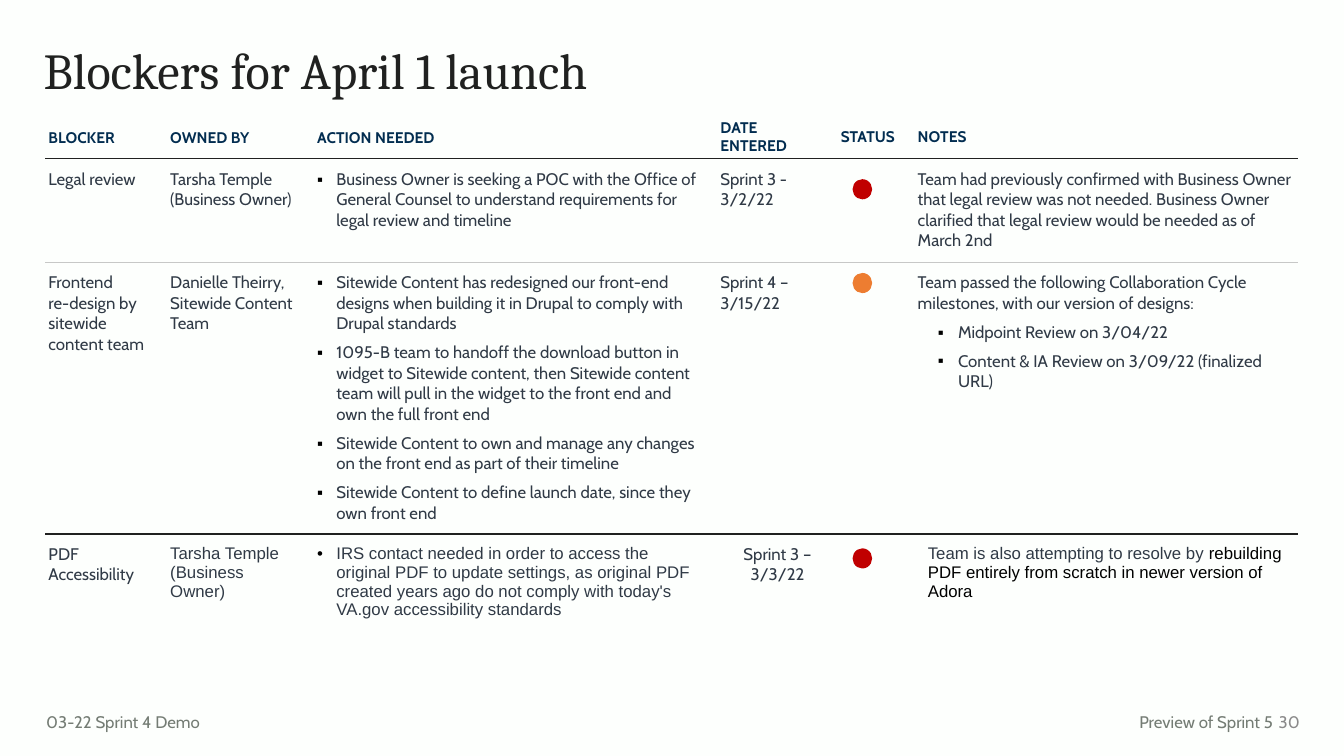
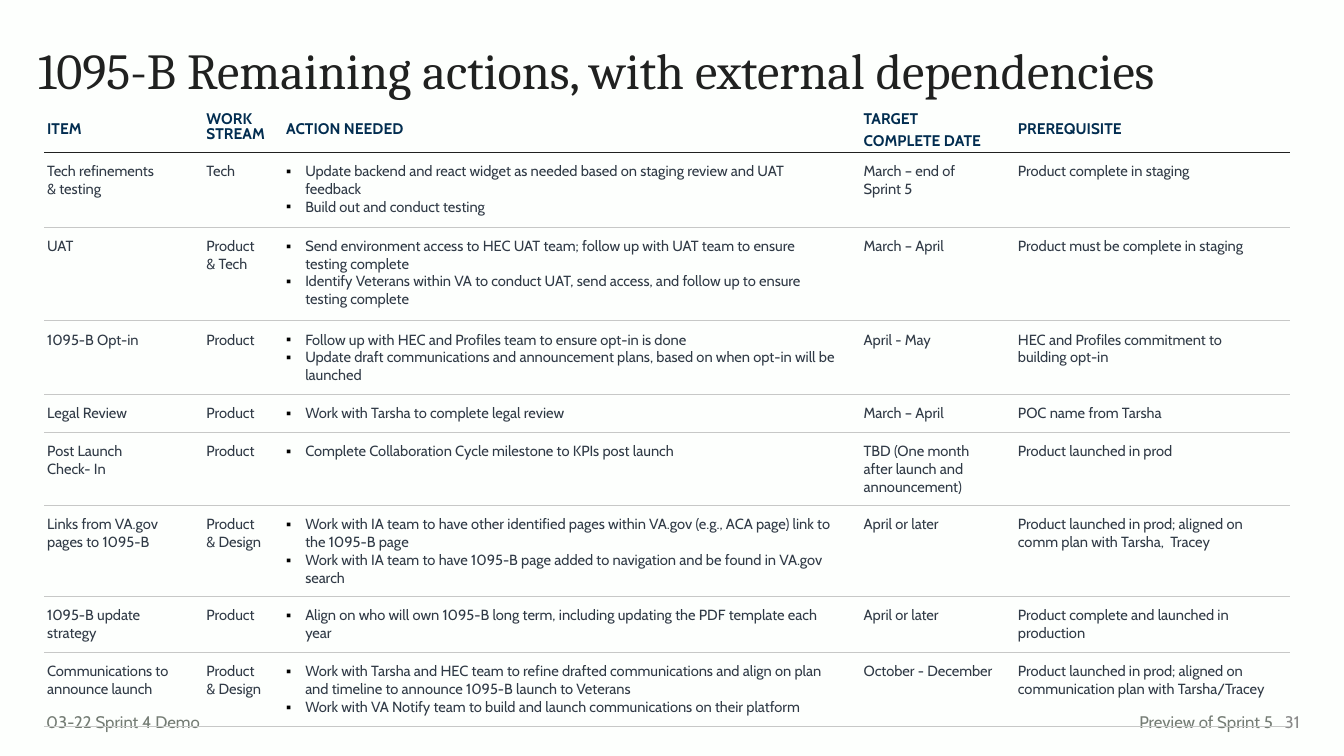
from dataclasses import dataclass

from lxml.etree import SubElement
from pptx import Presentation
from pptx.dml.color import RGBColor
from pptx.enum.shapes import MSO_SHAPE as Shape
from pptx.enum.text import MSO_ANCHOR as Anchor, MSO_AUTO_SIZE as AutoSize, PP_ALIGN as Align
from pptx.oxml.ns import qn
from pptx.util import Pt

COLORS = {
    "paper": "FDFFFD",
    "ink": "202120",
    "heading": "022D50",
    "body": "303A46",
    "rule": "C7C8C7",
    "footer": "747C74",
    "number": "8A8A8A",
    "black": "000000",
    "red": "C00000",
    "orange": "ED7D31",
}
NO_GRID_STYLE = "{2D5ABB26-0587-4C30-8999-92F81FD0307C}"
BULLETS = "▪•"


@dataclass
class Column:
    heading: str
    width: float
    left: float = 2.2
    right: float = 14.4
    spacing: float = 1.15
    indent: float = 13.7
    hang: float = 13.7


BLOCKER_COLUMNS = [
    Column("BLOCKER", 87),
    Column("OWNED BY", 105),
    Column("ACTION NEEDED", 288),
    Column("DATE\nENTERED", 86, right=2.2, spacing=1),
    Column("STATUS", 50, spacing=1),
    Column("NOTES", 279, left=7.2, right=2.2, spacing=1, indent=28.8, hang=14.4),
]
BLOCKERS = [
    ["Legal review", "Tarsha Temple (Business Owner)",
     "▪Business Owner is seeking a POC with the Office of General Counsel to understand "
     "requirements for legal review and timeline",
     "Sprint 3 -\n3/2/22", "",
     "Team had previously confirmed with Business Owner that legal review was not needed. "
     "Business Owner clarified that legal review would be needed as of March 2nd"],
    ["Frontend\nre-design by sitewide content team", "Danielle Theirry, Sitewide Content Team",
     "▪Sitewide Content has redesigned our front-end designs when building it in Drupal "
     "to comply with Drupal standards\n"
     "▪1095-B team to handoff the download button in widget to Sitewide content, then "
     "Sitewide content team will pull in the widget to the front end and own the full front end\n"
     "▪Sitewide Content to own and manage any changes on the front end as part of their timeline\n"
     "▪Sitewide Content to define launch date, since they own front end",
     "Sprint 4 – 3/15/22", "",
     "Team passed the following Collaboration Cycle milestones, with our version of designs:\n"
     "▪Midpoint Review on 3/04/22\n"
     "▪Content & IA Review on 3/09/22 (finalized URL)"],
    ["PDF Accessibility", "Tarsha Temple (Business Owner)",
     "•IRS contact needed in order to access the original PDF to update settings, as original "
     "PDF created years ago do not comply with today's VA.gov accessibility standards",
     "Sprint 3 – 3/3/22", "", "Team is also attempting to resolve by"],
]

ACTION_COLUMNS = [
    Column("ITEM", 113.8),
    Column("WORK STREAM", 56.9, spacing=0.8),
    Column("ACTION NEEDED", 412.6),
    Column("TARGET\nCOMPLETE DATE", 110.2),
    Column("PREREQUISITE", 196.6),
]
ACTIONS = [
    ["Tech refinements\n& testing", "Tech",
     "▪Update backend and react widget as needed based on staging review and UAT feedback\n"
     "▪Build out and conduct testing",
     "March – end of\nSprint 5", "Product complete in staging"],
    ["UAT", "Product & Tech",
     "▪Send environment access to HEC UAT team; follow up with UAT team to ensure testing complete\n"
     "▪Identify Veterans within VA to conduct UAT, send access, and follow up to ensure "
     "testing complete",
     "March – April", "Product must be complete in staging"],
    ["1095-B Opt-in", "Product",
     "▪Follow up with HEC and Profiles team to ensure opt-in is done\n"
     "▪Update draft communications and announcement plans, based on when opt-in will be launched",
     "April - May", "HEC and Profiles commitment to building opt-in"],
    ["Legal Review", "Product", "▪Work with Tarsha to complete legal review",
     "March – April", "POC name from Tarsha"],
    ["Post Launch\nCheck- In", "Product",
     "▪Complete Collaboration Cycle milestone to KPIs post launch",
     "TBD (One month after launch and announcement)", "Product launched in prod"],
    ["Links from VA.gov pages to 1095-B", "Product & Design",
     "▪Work with IA team to have other identified pages within VA.gov (e.g., ACA page) link to "
     "the 1095-B page\n"
     "▪Work with IA team to have 1095-B page added to navigation and be found in VA.gov search",
     "April or later", "Product launched in prod; aligned on comm plan with Tarsha,  Tracey"],
    ["1095-B update strategy", "Product",
     "▪Align on who will own 1095-B long term, including updating the PDF template each year",
     "April or later", "Product complete and launched in production"],
    ["Communications to announce launch", "Product & Design",
     "▪Work with Tarsha and HEC team to refine drafted communications and align on plan and "
     "timeline to announce 1095-B launch to Veterans\n"
     "▪Work with VA Notify team to build and launch communications on their platform",
     "October - December",
     "Product launched in prod; aligned on communication plan with Tarsha/Tracey"],
]


def rgb(name):
    return RGBColor.from_string(COLORS[name])


def format_span(span, size, color, font="Cabin", bold=False):
    span.font.name = font
    span.font.size = Pt(size)
    span.font.bold = bold
    span.font.color.rgb = rgb(color)


def add_bullet(para, mark, column):
    props = para._p.get_or_add_pPr()
    props.set("marL", str(Pt(column.indent)))
    props.set("indent", str(-Pt(column.hang)))
    color = SubElement(props, qn("a:buClr"))
    SubElement(color, qn("a:srgbClr")).set("val", COLORS["black"])
    SubElement(props, qn("a:buFont")).set("typeface", "Arial")
    SubElement(props, qn("a:buChar")).set("char", mark)


def set_bottom_rule(cell, color, width):
    line = SubElement(cell._tc.get_or_add_tcPr(), qn("a:lnB"))
    line.set("w", str(Pt(width)))
    fill = SubElement(line, qn("a:solidFill"))
    SubElement(fill, qn("a:srgbClr")).set("val", COLORS[color])


def fill_cell(cell, text, column, rule, size, gap, header):
    if rule:
        set_bottom_rule(cell, *rule)
    cell.fill.background()
    cell.vertical_anchor = Anchor.MIDDLE if header else Anchor.TOP
    cell.margin_left = Pt(column.left)
    cell.margin_right = Pt(2.2 if header else column.right)
    cell.margin_top = cell.margin_bottom = Pt(2.2 if header else 7.2)
    if not text:
        return
    cell.text_frame.text = text
    has_bullets = any(mark in text for mark in BULLETS)
    for para in cell.text_frame.paragraphs:
        mark = para.text[0]
        if mark in BULLETS:
            para.text = para.text[1:]
            add_bullet(para, mark, column)
        if has_bullets and gap:
            para.space_after = Pt(gap)
        if header:
            para.line_spacing = column.spacing
        for span in para.runs:
            format_span(span, 11 if header else size, "heading" if header else "body", bold=header)


def add_grid(page, left, top, columns, rows, heights, rules, size, gap=0):
    width = sum(column.width for column in columns)
    frame = page.shapes.add_table(len(heights), len(columns), Pt(left), Pt(top),
                                  Pt(width), Pt(sum(heights)))
    table = frame.table
    table.first_row = table.horz_banding = False
    table._tbl.tblPr.find(qn("a:tableStyleId")).text = NO_GRID_STYLE
    for index, column in enumerate(columns):
        table.columns[index].width = Pt(column.width)
    texts = [[column.heading for column in columns]] + rows
    for row, (height, rule) in enumerate(zip(heights, rules)):
        table.rows[row].height = Pt(height)
        for index, column in enumerate(columns):
            fill_cell(table.cell(row, index), texts[row][index], column, rule, size, gap, row == 0)
    return table


def add_label(page, text, left, top, width, height, color="footer", align=Align.RIGHT, inset=7.2):
    box = page.shapes.add_textbox(Pt(left), Pt(top), Pt(width), Pt(height))
    box.text_frame.word_wrap = True
    box.text_frame.vertical_anchor = Anchor.MIDDLE
    box.text_frame.margin_left = Pt(inset)
    box.text_frame.text = text
    para = box.text_frame.paragraphs[0]
    para.alignment = align
    format_span(para.runs[0], 12, color)


def add_page(deck, title, left, number):
    page = deck.slides.add_slide(deck.slide_layouts[5])
    heading = page.shapes.title
    heading.left, heading.top, heading.width, heading.height = Pt(left), Pt(29.5), Pt(930), Pt(48)
    heading.text_frame.text = title
    heading.text_frame.auto_size = AutoSize.NONE
    heading.text_frame.vertical_anchor = Anchor.TOP
    para = heading.text_frame.paragraphs[0]
    para.alignment = Align.LEFT
    para.line_spacing = 0.9
    format_span(para.runs[0], 36, "ink", "Cambria")
    add_label(page, "03-22 Sprint 4 Demo", 33, 504.5, 215, 22, align=Align.LEFT, inset=0)
    add_label(page, "Preview of Sprint 5", 798.5, 504.5, 118, 22)
    add_label(page, number, 904, 501, 31.5, 29, "number")
    return page


def add_status_dot(page, top, color):
    dot = page.shapes.add_shape(Shape.OVAL, Pt(609), Pt(top), Pt(14), Pt(14.4))
    dot.shadow.inherit = False
    dot.fill.solid()
    dot.fill.fore_color.rgb = rgb(color)
    dot.line.fill.background()


def finish_pdf_row(table):
    owner, action, date, notes = (table.cell(3, index) for index in (1, 2, 3, 5))
    date.text_frame.paragraphs[0].alignment = Align.CENTER
    para = notes.text_frame.paragraphs[0]
    para._p.get_or_add_pPr().set("marL", str(Pt(7.2)))
    span = para.add_run()
    span.text = " rebuilding PDF entirely from scratch in newer version of Adora"
    format_span(span, 12, "black")
    for cell in (owner, action, notes):
        for span in cell.text_frame.paragraphs[0].runs:
            span.font.name = "Arial"


def build_blockers(deck):
    page = add_page(deck, "Blockers for April 1 launch", 24, "30")
    table = add_grid(page, 32.4, 82, BLOCKER_COLUMNS, BLOCKERS, [31.5, 74, 194, 69],
                     [("ink", 1), ("rule", 1), ("ink", 1), None], 12, gap=6)
    finish_pdf_row(table)
    for top, color in ((128, "red"), (195, "orange"), (391.7, "red")):
        add_status_dot(page, top, color)


def build_actions(deck):
    page = add_page(deck, "1095-B Remaining actions, with external dependencies", 20, "31")
    add_grid(page, 31.5, 74, ACTION_COLUMNS, ACTIONS,
             [34.5, 53.5, 67, 52.5, 27, 52.5, 65, 40, 52.5],
             [("ink", 0.75)] + [("rule", 1)] * len(ACTIONS), 10.5)


def main():
    deck = Presentation()
    deck.slide_width, deck.slide_height = Pt(960), Pt(540)
    background = deck.slide_master.background.fill
    background.solid()
    background.fore_color.rgb = rgb("paper")
    build_blockers(deck)
    build_actions(deck)
    deck.save("out.pptx")


if __name__ == "__main__":
    main()
